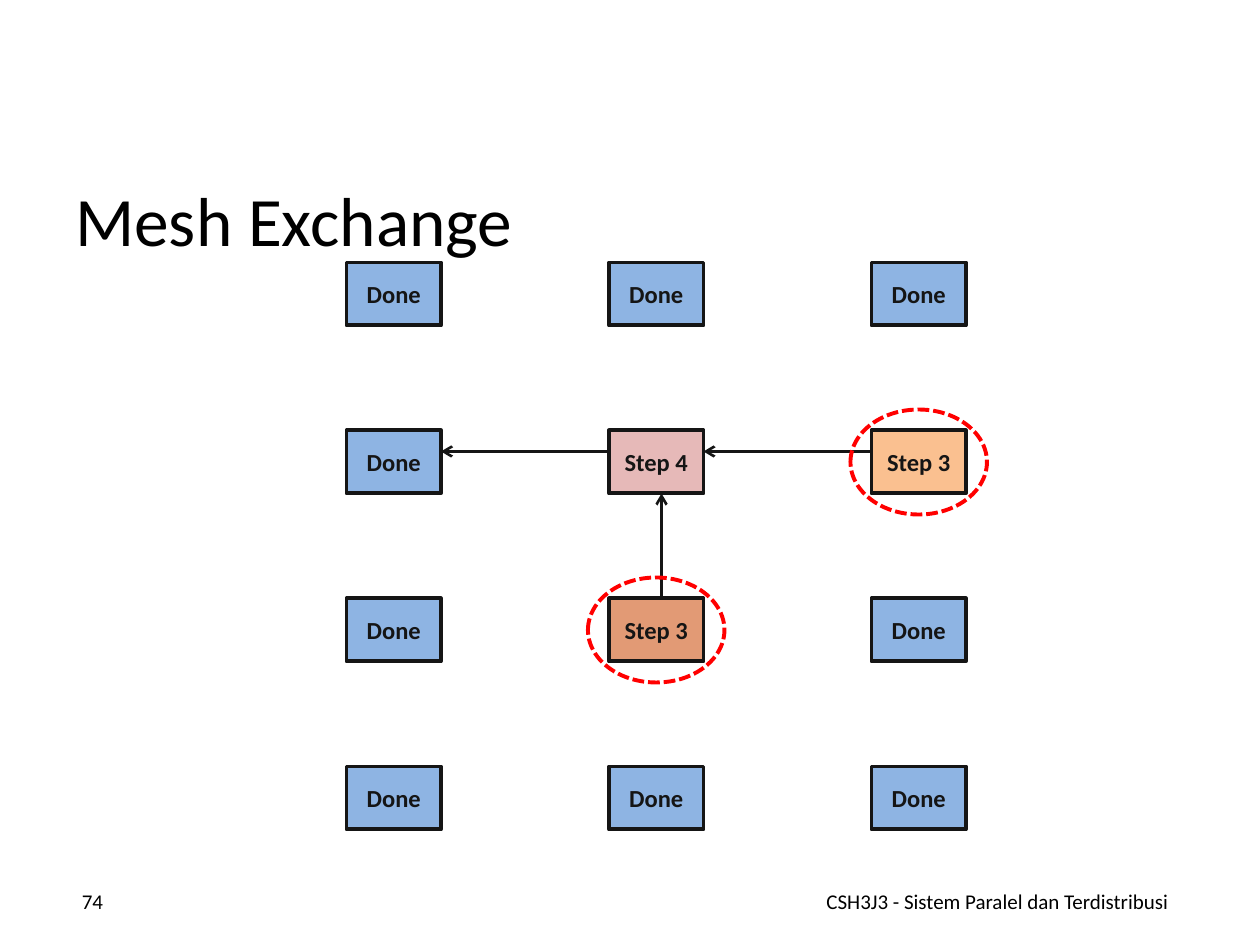
from dataclasses import dataclass

from lxml import etree
from pptx import Presentation
from pptx.dml.color import RGBColor
from pptx.enum.dml import MSO_LINE
from pptx.enum.shapes import MSO_CONNECTOR, MSO_SHAPE
from pptx.enum.text import MSO_ANCHOR, PP_ALIGN
from pptx.oxml.ns import qn
from pptx.util import Emu, Pt

PX = 914400 // 120
LEFT, CENTER, RIGHT = PP_ALIGN.LEFT, PP_ALIGN.CENTER, PP_ALIGN.RIGHT
MIDDLE = MSO_ANCHOR.MIDDLE
RECT, OVAL = MSO_SHAPE.RECTANGLE, MSO_SHAPE.OVAL
STRAIGHT = MSO_CONNECTOR.STRAIGHT
DASH = MSO_LINE.SQUARE_DOT


@dataclass(frozen=True)
class Theme:
    font: str = "Calibri"
    text: str = "000000"
    ink: str = "151515"
    ring: str = "FF0000"
    done: str = "8EB4E3"
    pink: str = "E6B9B8"
    peach: str = "FAC090"
    rust: str = "E29A75"
    title_size: float = 39.6
    node_size: float = 14
    footer_size: float = 12
    border: float = 2.25
    arrow: float = 1.5


def px(*values):
    return [Emu(v * PX) for v in values]


class Deck:
    """Holds the theme and the current slide."""

    def __init__(self, theme, width, height):
        self.theme = theme
        self.prs = Presentation()
        self.prs.slide_width, self.prs.slide_height = px(width, height)
        self.s = self.prs.slides.add_slide(self.prs.slide_layouts[6])

    def set_text(self, sp, text, size, color, align, bold=False):
        tf = sp.text_frame
        tf.word_wrap = True
        tf.vertical_anchor = MIDDLE
        p = tf.paragraphs[0]
        p.alignment = align
        r = p.add_run()
        r.text = text
        formats = {"name": self.theme.font, "size": Pt(size), "bold": bold}
        for name, value in formats.items():
            setattr(r.font, name, value)
        r.font.color.rgb = RGBColor.from_string(color)

    def set_line(self, sp, color, width):
        sp.line.color.rgb = RGBColor.from_string(color)
        sp.line.width = Pt(width)

    def label(self, box, text, size, align):
        sp = self.s.shapes.add_textbox(*px(*box))
        self.set_text(sp, text, size, self.theme.text, align)

    def node(self, box, text, fill):
        sp = self.s.shapes.add_shape(RECT, *px(*box))
        sp.shadow.inherit = False
        sp.fill.solid()
        sp.fill.fore_color.rgb = RGBColor.from_string(fill)
        self.set_line(sp, self.theme.ink, self.theme.border)
        tf = sp.text_frame
        tf.margin_left = tf.margin_right = 0
        self.set_text(sp, text, self.theme.node_size, self.theme.ink, CENTER, True)

    def ring(self, box):
        sp = self.s.shapes.add_shape(OVAL, *px(*box))
        sp.shadow.inherit = False
        sp.fill.background()
        self.set_line(sp, self.theme.ring, self.theme.border)
        sp.line.dash_style = DASH

    def arrow(self, x1, y1, x2, y2):
        sp = self.s.shapes.add_connector(STRAIGHT, *px(x1, y1, x2, y2))
        self.set_line(sp, self.theme.ink, self.theme.arrow)
        sp_pr = sp._element.spPr
        etree.SubElement(sp_pr.find(qn("a:ln")), qn("a:tailEnd"), type="arrow")
        etree.SubElement(sp_pr, qn("a:effectLst"))


NODE_W, NODE_H = 90, 60
COLS = [330 + 250 * i for i in range(3)]
ROWS = [250 + 160 * i for i in range(4)]
RING_PAD = 20


def main():
    theme = Theme()
    deck = Deck(theme, 1200, 900)
    deck.label((60, 170, 1080, 76), "Mesh Exchange", theme.title_size, LEFT)
    deck.label((760, 834, 380, 48), "CSH3J3 - Sistem Paralel dan Terdistribusi",
               theme.footer_size, CENTER)
    deck.label((40, 834, 70, 48), "74", theme.footer_size, RIGHT)

    # Nodes still exchanging, by (row, column); all others are done
    active = {
        (1, 1): ("Step 4", theme.pink),
        (1, 2): ("Step 3", theme.peach),
        (2, 1): ("Step 3", theme.rust),
    }
    for row, y in enumerate(ROWS):
        for col, x in enumerate(COLS):
            text, fill = active.get((row, col), ("Done", theme.done))
            deck.node((x, y, NODE_W, NODE_H), text, fill)

    up_x, left_y = COLS[1] + 50, ROWS[1] + 20
    deck.arrow(up_x, ROWS[2], up_x, ROWS[1] + NODE_H)
    for col in (2, 1):
        deck.arrow(COLS[col], left_y, COLS[col - 1] + NODE_W, left_y)

    for row, col in ((2, 1), (1, 2)):
        deck.ring((COLS[col] - RING_PAD, ROWS[row] - RING_PAD,
                   NODE_W + 2 * RING_PAD, NODE_H + 2 * RING_PAD))

    deck.prs.save("out.pptx")


if __name__ == "__main__":
    main()
